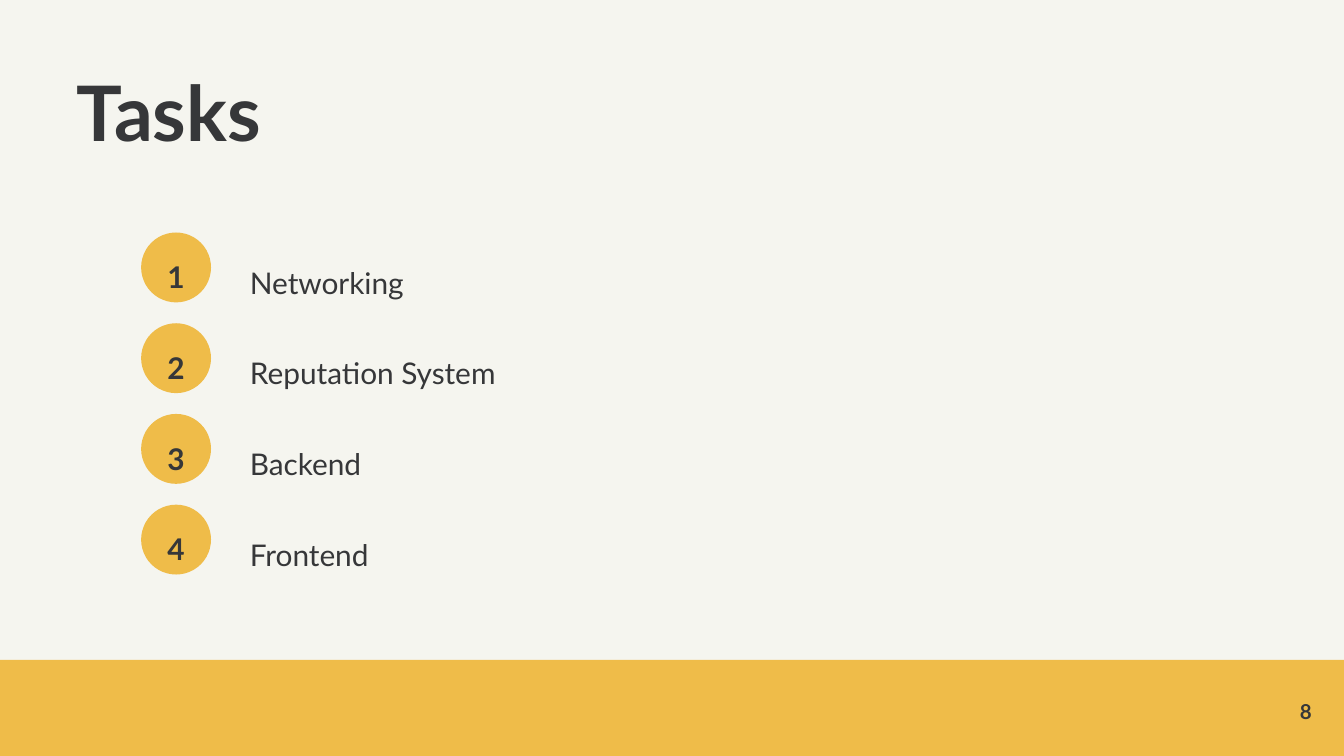
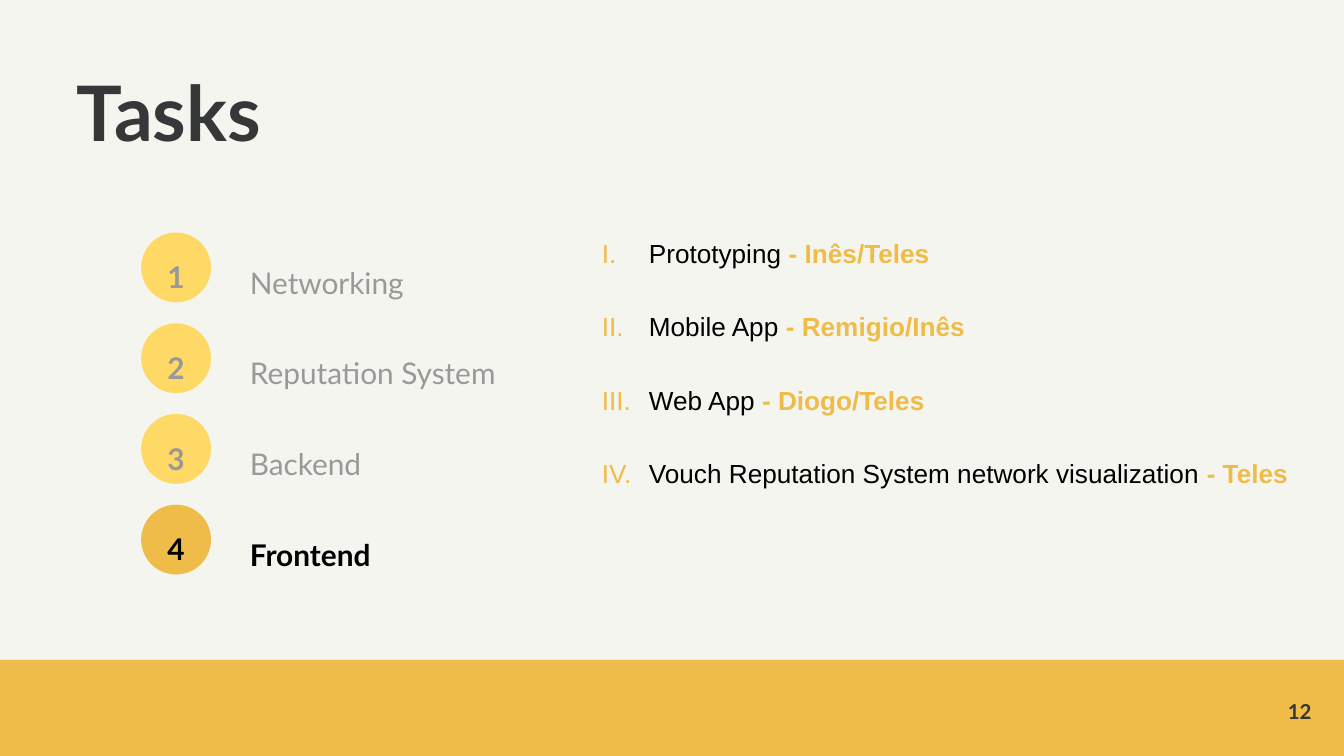
from lxml.etree import SubElement
from pptx import Presentation
from pptx.dml.color import RGBColor
from pptx.enum.shapes import MSO_SHAPE
from pptx.enum.text import MSO_ANCHOR, PP_ALIGN
from pptx.oxml.ns import qn
from pptx.util import Emu, Pt

PX = 4572  # EMU per px, 200 px to the inch
WIDE, HIGH = 2000, 1125
INK = {"paper": "F5F5EF", "gold": "EFBC49", "pale": "FFD966",
       "dark": "363739", "grey": "999999", "black": "000000"}
TASKS = [("Networking", 232), ("Reputation System", 530),
         ("Backend", 232), ("Frontend", 232)]
TOP, STEP = 346, 135


def px(num):
    return Emu(num * PX)


def hue(name):
    return RGBColor.from_string(INK[name])


class Deck:
    def __init__(self):
        self.prs = Presentation()
        self.prs.slide_width, self.prs.slide_height = px(WIDE), px(HIGH)
        self.slide = None

    def page(self, title, num):
        self.slide = self.prs.slides.add_slide(self.prs.slide_layouts[6])
        fill = self.slide.background.fill
        fill.solid()
        fill.fore_color.rgb = hue("paper")
        self.text(title, (114, 112, 1418, 158), 41, bold=True, space=0.9)
        self.shape(MSO_SHAPE.RECTANGLE, (0, 982, WIDE, 143), "gold")
        self.text(str(num), (1832, 1038, 120, 40), 11, bold=True,
                  align=PP_ALIGN.RIGHT, anchor=MSO_ANCHOR.MIDDLE)

    def shape(self, kind, box, color):
        item = self.slide.shapes.add_shape(kind, *map(px, box))
        item.shadow.inherit = False
        item.fill.solid()
        item.fill.fore_color.rgb = hue(color)
        item.line.fill.background()

    def frame(self, box, pad=0):
        frame = self.slide.shapes.add_textbox(*map(px, box)).text_frame
        frame.word_wrap = True
        frame.margin_left = frame.margin_right = px(pad)
        frame.margin_top = frame.margin_bottom = px(pad)
        return frame

    def style(self, font, size, color, bold=False, face="Lato"):
        font.name, font.size, font.bold = face, Pt(size), bold
        font.color.rgb = hue(color)

    def text(self, words, box, size, color="dark", bold=False, space=1.0,
             align=PP_ALIGN.LEFT, anchor=MSO_ANCHOR.TOP):
        frame = self.frame(box)
        frame.vertical_anchor = anchor
        frame.text = words
        para = frame.paragraphs[0]
        para.alignment, para.line_spacing = align, space
        self.style(para.runs[0].font, size, color, bold)

    def task(self, row, name, width, disc, color, bold):
        top = TOP + row * STEP
        self.shape(MSO_SHAPE.OVAL, (210, top, 104, 104), disc)
        self.text(str(row + 1), (220, top + 26, 84, 54), 16, color, True,
                  1.25, PP_ALIGN.CENTER)
        self.text(name, (372, top + 26, width, 54), 16, color, bold, 1.4)

    def tasks(self, focus=None):
        for row, (name, width) in enumerate(TASKS):
            if focus is None:
                look = ("gold", "dark", False)
            elif name == focus:
                look = ("gold", "black", True)
            else:
                look = ("pale", "grey", False)
            self.task(row, name, width, *look)

    def roman(self, items, box):
        frame = self.frame(box, 20)
        frame.margin_top = px(24)
        for row, (job, team) in enumerate(items):
            para = frame.add_paragraph() if row else frame.paragraphs[0]
            # Roman numbering with a hanging indent
            props = para._p.get_or_add_pPr()
            props.set("marL", str(px(100)))
            props.set("indent", str(px(-70)))
            tint = SubElement(props, qn("a:buClr"))
            SubElement(tint, qn("a:srgbClr")).set("val", INK["gold"])
            SubElement(props, qn("a:buFont")).set("typeface", "Arial")
            SubElement(props, qn("a:buAutoNum")).set("type", "romanUcPeriod")
            para.line_spacing = 1.15
            if row:
                para.space_before = Pt(20)
            para.text = job + " "
            self.style(para.runs[0].font, 14, "black", face="Arial")
            run = para.add_run()
            run.text = "- " + team
            self.style(run.font, 14, "gold", True, "Arial")


def main():
    deck = Deck()

    # Overview of the tasks
    deck.page("Tasks", 8)
    deck.tasks()

    # Frontend task in detail
    deck.page("Tasks", 12)
    deck.tasks("Frontend")
    deck.roman([("Prototyping", "Inês/Teles"),
                ("Mobile App", "Remigio/Inês"),
                ("Web App", "Diogo/Teles"),
                ("Vouch Reputation System network visualization", "Teles")],
               (846, 322, 1112, 522))

    deck.prs.save("out.pptx")


if __name__ == "__main__":
    main()
